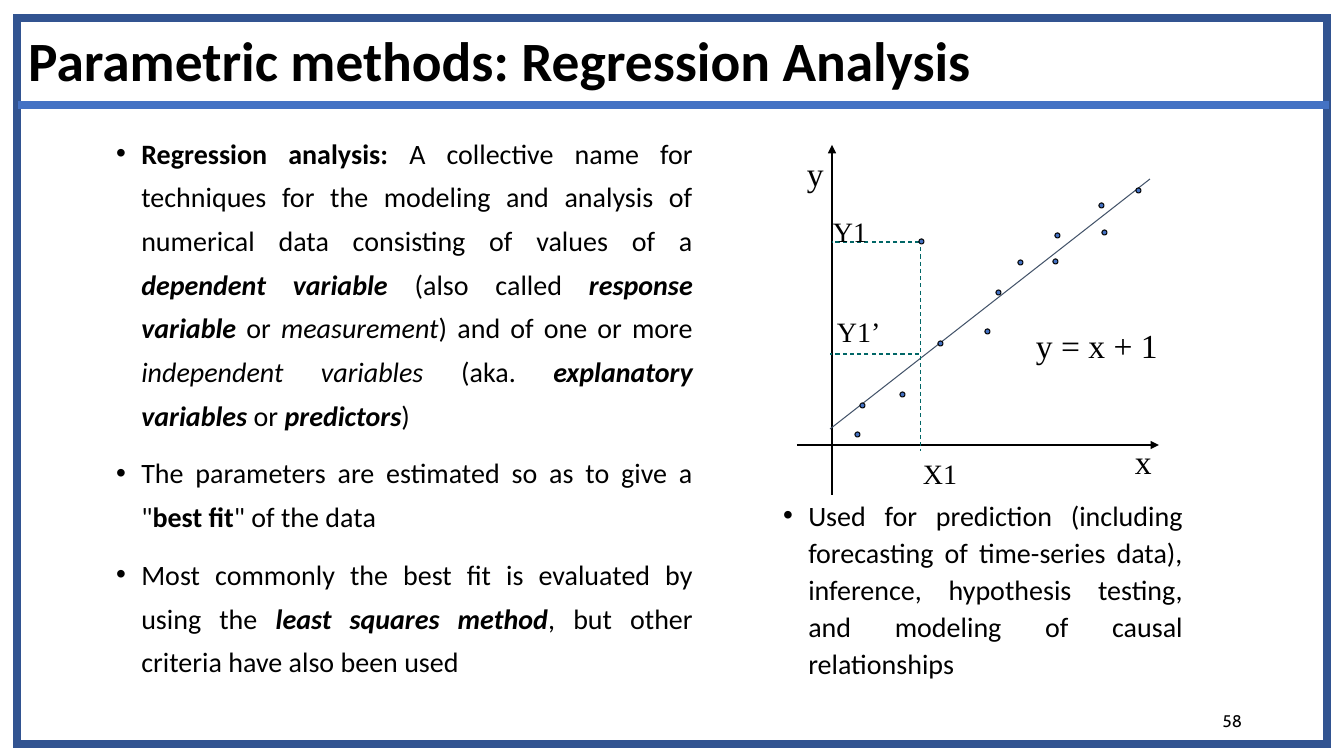
"""Build the regression analysis slide with its scatter diagram."""
from lxml import etree
from pptx import Presentation
from pptx.dml.color import RGBColor
from pptx.enum.dml import MSO_LINE
from pptx.enum.shapes import MSO_CONNECTOR, MSO_SHAPE
from pptx.enum.text import MSO_ANCHOR, MSO_AUTO_SIZE, PP_ALIGN
from pptx.oxml.ns import qn
from pptx.util import Pt

PX = 914400 / 100.8
BLACK = RGBColor(0x00, 0x00, 0x00)
BLUE = RGBColor(0x44, 0x72, 0xC4)
FRAME_BLUE = RGBColor(0x32, 0x54, 0x91)
SLATE = RGBColor(0x44, 0x54, 0x6A)
TEAL = RGBColor(0x00, 0x66, 0x66)
STRAIGHT = MSO_CONNECTOR.STRAIGHT
DASH = MSO_LINE.DASH
OVAL, RECTANGLE = MSO_SHAPE.OVAL, MSO_SHAPE.RECTANGLE
MIDDLE = MSO_ANCHOR.MIDDLE
NO_AUTOFIT, GROW = MSO_AUTO_SIZE.NONE, MSO_AUTO_SIZE.SHAPE_TO_FIT_TEXT
LEFT, RIGHT, JUSTIFY = PP_ALIGN.LEFT, PP_ALIGN.RIGHT, PP_ALIGN.JUSTIFY
BODY_FONT, LABEL_FONT, NUMBER_FONT = "Calibri", "Times New Roman", "Cabin"


def px(*lengths):
    return [round(length * PX) for length in lengths]


def add_span(para, text, size, font, style=""):
    span = para.add_run()
    span.text = text
    span.font.size = Pt(size)
    span.font.name = font
    span.font.color.rgb = BLACK
    span.font.bold = "b" in style
    span.font.italic = "i" in style


deck = Presentation()
deck.slide_width, deck.slide_height = px(1344, 756)
page = deck.slides.add_slide(deck.slide_layouts[3])
title, main_list, side_list = page.placeholders

title.left, title.top, title.width, title.height = px(18, 30, 1203, 68)
title.text_frame.auto_size = NO_AUTOFIT
title.text_frame.vertical_anchor = MIDDLE
para = title.text_frame.paragraphs[0]
para.alignment = LEFT
para.line_spacing = 0.9
add_span(para, "Parametric methods: Regression Analysis", 39.6, BODY_FONT, "b")

main_points = [
    [("Regression analysis: ", "b"),
     ("A collective name for techniques for the modeling and analysis of "
      "numerical data consisting of values of a ", ""),
     ("dependent variable ", "bi"), ("(also called ", ""),
     ("response variable ", "bi"), ("or ", ""), ("measurement", "i"),
     (") and of one or more ", ""), ("independent variables", "i"),
     (" (aka. ", ""), ("explanatory variables ", "bi"), ("or ", ""),
     ("predictors", "bi"), (")", "")],
    [('The parameters are estimated so as to give a "', ""),
     ("best fit", "b"), ('" of the data', "")],
    [("Most commonly the best fit is evaluated by using the ", ""),
     ("least squares method", "bi"),
     (", but other criteria have also been used", "")],
]
side_points = [
    [("Used for prediction (including forecasting of time-series data), "
      "inference, hypothesis testing, and modeling of causal relationships", "")],
]
for box, place, spacing, points in [
    (main_list, (106, 121, 597, 572), 1.3, main_points),
    (side_list, (773, 490, 420, 252), 1.1, side_points),
]:
    box.left, box.top, box.width, box.height = px(*place)
    frame = box.text_frame
    frame.auto_size = NO_AUTOFIT
    for index, point in enumerate(points):
        para = frame.add_paragraph() if index else frame.paragraphs[0]
        para.alignment = JUSTIFY
        para.line_spacing = spacing
        para.space_before = Pt(10)
        properties = para._p.get_or_add_pPr()
        properties.set("marL", "228600")
        properties.set("indent", "-228600")
        etree.SubElement(properties, qn("a:buChar")).set("char", "•")
        for text, style in point:
            add_span(para, text, 20, BODY_FONT, style)

number = page.shapes.add_textbox(*px(950, 701, 302, 40))
number.text_frame.word_wrap = True
number.text_frame.vertical_anchor = MIDDLE
para = number.text_frame.paragraphs[0]
para.alignment = RIGHT
add_span(para, "58", 12, NUMBER_FONT)

border = page.shapes.add_shape(RECTANGLE, *px(17, 18, 1310, 726))
border.shadow.inherit = False
border.fill.background()
border.line.color.rgb = FRAME_BLUE
border.line.width = Pt(6)
etree.SubElement(border.line._get_or_add_ln(), qn("a:miter")).set("lim", "800000")

for ends, color, width, dashed, arrow in [
    ((18, 105, 1329, 105), BLUE, 6, False, False),
    ((797, 445, 1159, 445), BLACK, 0.75, False, True),
    ((832, 495, 832, 145), BLACK, 0.75, False, True),
    ((830, 429, 1150, 179), SLATE, 0.75, False, False),
    ((921, 240, 921, 451), TEAL, 0.75, True, False),
    ((919, 242, 832, 242), TEAL, 0.75, True, False),
    ((919, 354, 830, 354), TEAL, 0.75, True, False),
]:
    line = page.shapes.add_connector(STRAIGHT, *px(*ends))
    line.line.color.rgb = color
    line.line.width = Pt(width)
    if dashed:
        line.line.dash_style = DASH
    if arrow:
        outline = line.line._get_or_add_ln()
        etree.SubElement(outline, qn("a:tailEnd")).set("type", "triangle")
    etree.SubElement(line._element.spPr, qn("a:effectLst"))

for left, top in [
    (855, 432), (860, 403), (900, 392), (919, 239), (938, 341),
    (985, 329), (996, 290), (1018, 260), (1053, 259), (1055, 233),
    (1099, 203), (1102, 230), (1136, 188),
]:
    dot = page.shapes.add_shape(OVAL, *px(left, top, 5, 5))
    dot.shadow.inherit = False
    dot.fill.solid()
    dot.fill.fore_color.rgb = BLUE
    dot.line.color.rgb = BLACK
    dot.line.width = Pt(0.75)

for text, size, place in [
    ("y", 24, (797, 148, 37, 50)),
    ("x", 24, (1125, 436, 37, 50)),
    ("y = x + 1", 24, (1026, 320, 142, 50)),
    ("X1", 20, (913, 452, 56, 43)),
    ("Y1", 20, (823, 210, 56, 43)),
    ("Y1’", 20, (827, 310, 64, 43)),
]:
    label = page.shapes.add_textbox(*px(*place))
    label.text_frame.word_wrap = False
    label.text_frame.auto_size = GROW
    add_span(label.text_frame.paragraphs[0], text, size, LABEL_FONT)

deck.save("out.pptx")
